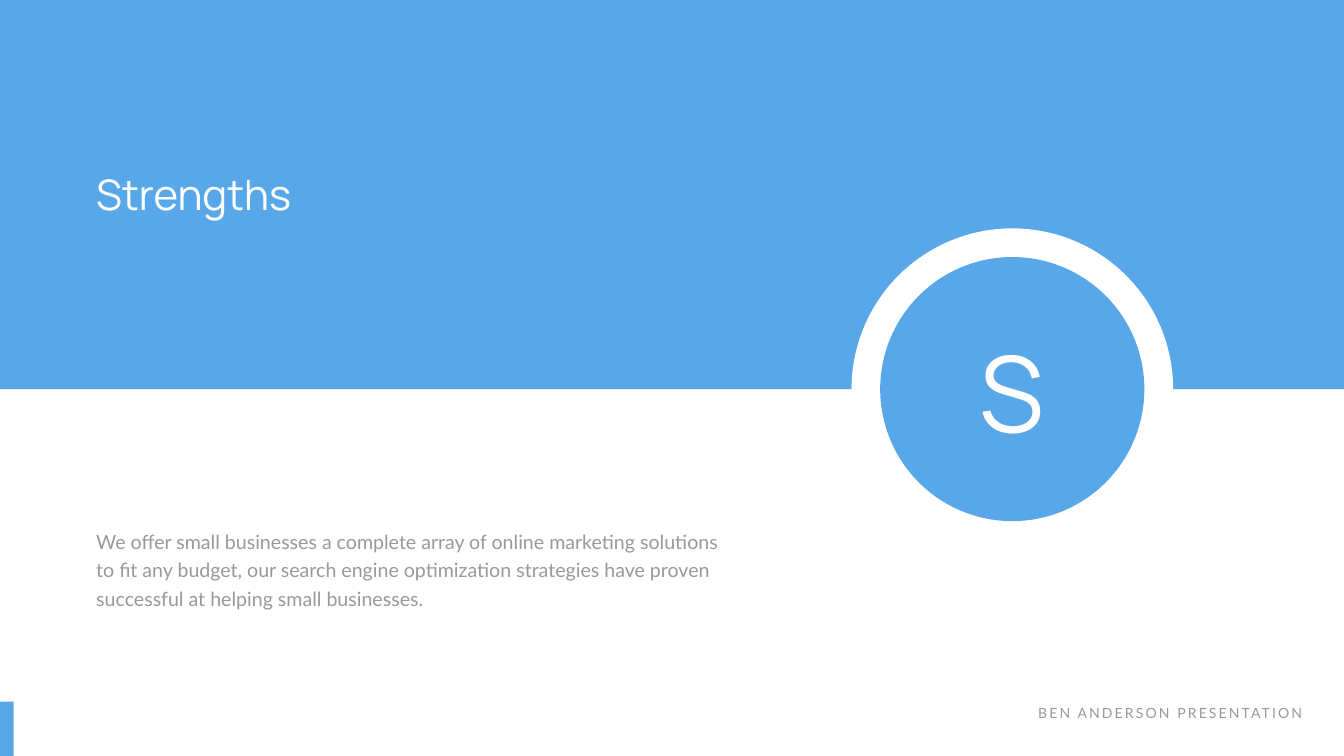
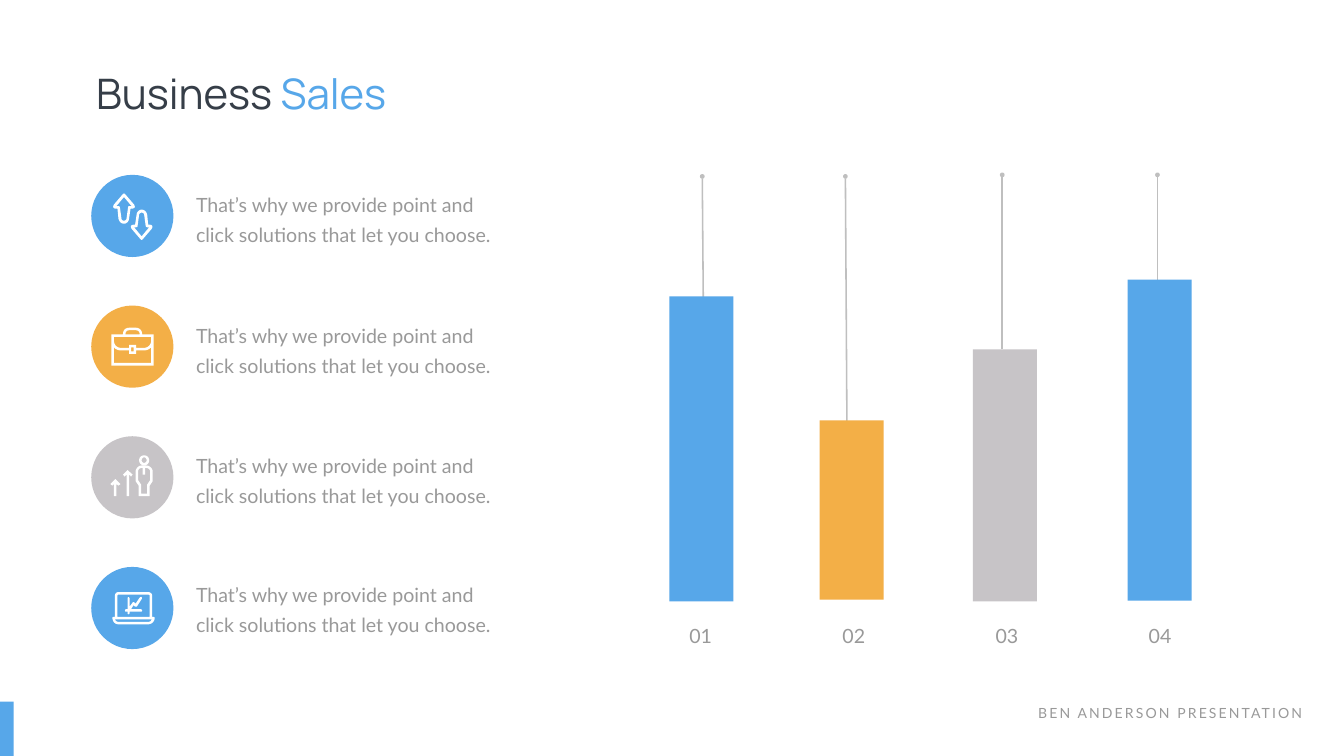
from dataclasses import dataclass
from lxml.etree import SubElement
from pptx import Presentation
from pptx.dml.color import RGBColor
from pptx.enum.shapes import MSO_CONNECTOR as Connector, MSO_SHAPE as Preset
from pptx.enum.text import MSO_ANCHOR as Anchor, MSO_AUTO_SIZE as AutoSize, PP_ALIGN as Align
from pptx.oxml.ns import qn
from pptx.util import Pt


@dataclass(frozen=True)
class Theme:
    blue: str = "57A7E9"
    orange: str = "F3AF47"
    silver: str = "C7C4C7"
    white: str = "FFFFFF"
    dark: str = "363E48"
    grey: str = "999999"
    stem: str = "BFBFBF"
    heading_font: str = "Manrope"
    body_font: str = "Lato"
    letter_size: float = 150
    title_size: float = 60
    body_size: float = 28
    footer_size: float = 20


theme = Theme()

letter_style = {"font": {"name": theme.heading_font, "size": Pt(theme.letter_size)},
                "paragraph": {"alignment": Align.CENTER}}
title_style = {"font": {"name": theme.heading_font, "size": Pt(theme.title_size)}}
body_font = {"name": theme.body_font, "size": Pt(theme.body_size)}
intro_style = {"font": body_font, "paragraph": {"line_spacing": Pt(40.8)}}
item_style = {"font": body_font, "paragraph": {"line_spacing": Pt(43)}}
label_style = {"font": body_font,
               "paragraph": {"alignment": Align.CENTER, "line_spacing": 1.3},
               "frame": {"vertical_anchor": Anchor.MIDDLE, "margin_left": Pt(7.2),
                         "margin_top": 0, "margin_right": 0, "margin_bottom": 0}}
footer_style = {"font": {"name": theme.body_font, "size": Pt(theme.footer_size)},
                "paragraph": {"alignment": Align.RIGHT}, "spacing": "300"}


def paint(shape, color):
    shape.shadow.inherit = False
    shape.fill.solid()
    shape.fill.fore_color.rgb = RGBColor.from_string(color)
    shape.line.fill.background()


def add_text(slide, box, runs, style):
    frame = slide.shapes.add_textbox(*map(Pt, box)).text_frame
    frame_format = {"word_wrap": True, "auto_size": AutoSize.SHAPE_TO_FIT_TEXT}
    for name, value in (frame_format | style.get("frame", {})).items():
        setattr(frame, name, value)
    paragraph = frame.paragraphs[0]
    for name, value in style.get("paragraph", {}).items():
        setattr(paragraph, name, value)
    for text, color in runs:
        run = paragraph.add_run()
        run.text = text
        for name, value in style["font"].items():
            setattr(run.font, name, value)
        run.font.color.rgb = RGBColor.from_string(color)
        if "spacing" in style:
            run.font._element.set("spc", style["spacing"])


presentation = Presentation()
presentation.slide_width = Pt(1919.52)
presentation.slide_height = Pt(1080)
blank_layout = presentation.slide_layouts[6]
strengths = presentation.slides.add_slide(blank_layout)
sales = presentation.slides.add_slide(blank_layout)

for slide in (strengths, sales):
    add_text(slide, (1445.8, 1002.2, 421.2, 31.7),
             [("BEN ANDERSON PRESENTATION", theme.grey)], footer_style)
    corner = slide.shapes.add_shape(Preset.RECTANGLE, 0, Pt(1002.2), Pt(19.4), Pt(77.8))
    paint(corner, theme.blue)

for preset, box, color in (
    (Preset.RECTANGLE, (0, 0, 1919.52, 555.8), theme.blue),
    (Preset.OVAL, (1216.1, 326.2, 459.4, 459.4), theme.white),
    (Preset.OVAL, (1257.1, 367.2, 377.3, 377.3), theme.blue),
):
    paint(strengths.shapes.add_shape(preset, *map(Pt, box)), color)

add_text(strengths, (1314.7, 464.4, 262.1, 189.4), [("S", theme.white)], letter_style)
add_text(strengths, (130.3, 237.6, 329, 79.9), [("Strengths", theme.white)], title_style)
add_text(strengths, (130.3, 745.9, 915.1, 127.4), [(
    "We offer small businesses a complete array of online marketing solutions to fit any budget, "
    "our search engine optimization strategies have proven successful at helping small businesses.",
    theme.grey)], intro_style)

add_text(sales, (130.3, 92.2, 551.5, 79.9),
         [("Business ", theme.dark), ("Sales", theme.blue)], title_style)

bars = [
    (956.2, 423.4, 435.6, theme.blue, (1004.4, 424.8), (1003, 252)),
    (1170.7, 600.5, 256.3, theme.orange, (1209.6, 602.6), (1207.4, 252)),
    (1389.6, 499, 360, theme.silver, (1431.4, 499), (1431.4, 249.8)),
    (1610.6, 399.6, 458.6, theme.blue, (1653.1, 399.6), (1653.1, 249.8)),
]
for index, (left, top, height, color, stem_foot, stem_tip) in enumerate(bars):
    stem = sales.shapes.add_connector(Connector.STRAIGHT, *map(Pt, stem_foot + stem_tip))
    stem.line.width = Pt(2.25)
    stem.line.color.rgb = RGBColor.from_string(theme.stem)
    SubElement(stem.line._get_or_add_ln(), qn("a:tailEnd"), type="oval")
    SubElement(stem._element.spPr, qn("a:effectLst"))
    bar = sales.shapes.add_shape(Preset.RECTANGLE, Pt(left), Pt(top), Pt(91.4), Pt(height))
    paint(bar, color)
    add_text(sales, (927.4 + 218.7 * index, 877.7, 139.7, 49.7),
             [(f"{index + 1:02}", theme.grey)], label_style)

# Icon outlines: a pair is a line end, six numbers are a curve, in steps of 0.72 pt.
up_arrow = [
    "76,62 74,62,73,63,73,65 70,87 70,89,67,91,65,91 62,91,60,89,60,87 57,65 "
    "57,63,55,62,54,62 50,62 65,44 80,62",
    "86,65 87,63,86,61,85,59 67,38 67,38,66,37,65,37 64,37,63,38,63,38 45,59 "
    "44,61,43,63,44,65 45,66,46,67,48,67 52,67 54,87 55,92,59,97,65,97 "
    "70,97,75,92,75,87 78,67 81,67 83,67,85,66,86,65",
]
down_arrow = [
    " ".join(
        ",".join(str((165, 166)[place % 2] - int(number))
                 for place, number in enumerate(segment.split(",")))
        for segment in contour.split())
    for contour in up_arrow
]
briefcase = [
    "105,84 89,84 89,78 75,78 75,84 59,84 51,84,45,78,45,70 45,62 119,62 119,70 "
    "119,78,112,84,105,84",
    "79,83 84,83 84,91 79,91",
    "119,114 45,114 45,83 48,87,54,89,59,89 75,89 75,96 89,96 89,89 105,89 110,89,115,87,119,83",
    "68,56 68,52,71,49,75,49 89,49 93,49,96,52,96,56 96,57 68,57",
    "101,57 101,56 101,49,95,44,89,44 75,44 68,44,63,49,63,56 63,57 40,57 40,119 124,119 124,57",
]
body = [
    "117,87 111,96 111,114 99,114 99,96 93,87 93,70 93,66,96,63,100,63 102,63 102,76 "
    "107,76 107,63 109,63 113,63,117,66,117,70",
    "109,58 100,58 94,58,88,64,88,70 88,89 94,98 94,119 116,119 116,98 122,89 122,70 "
    "122,64,116,58,109,58",
]
head = [
    "105,42 108,42,110,45,110,48 110,50,108,53,105,53 102,53,100,50,100,48 100,45,102,42,105,42",
    "105,58 111,58,115,53,115,48 115,42,111,38,105,38 99,38,95,42,95,48 95,53,99,58,105,58",
]
tall_arrow = ["63,76 66,80 70,76 70,119 75,119 75,76 79,80 82,76 72,67"]
short_arrow = ["38,95 42,98 45,95 45,119 50,119 50,95 54,98 58,95 48,85"]
laptop = [
    "113,109 54,109 51,109,48,107,47,104 120,104 119,107,117,109,113,109",
    "52,57 52,56,53,55,54,55 113,55 115,55,116,56,116,57 116,99 52,99",
    "123,99 121,99 121,57 121,53,117,50,113,50 54,50 50,50,47,53,47,57 47,99 44,99 "
    "43,99,42,100,42,101 42,108,47,114,54,114 113,114 120,114,126,108,126,101 "
    "126,100,124,99,123,99",
]
screen_chart = [
    "87,79 88,79,88,79,89,79 90,79,90,79,91,78 100,64 101,62,101,61,100,60 "
    "99,59,97,60,96,61 88,73 85,70 85,70,84,70,84,70 83,70,82,70,82,71 76,79 76,62 "
    "76,61,75,60,74,60 73,60,72,61,72,62 72,84 69,84 68,84,67,85,67,87 67,88,68,89,69,89 "
    "72,89 72,92 72,93,73,94,74,94 75,94,76,93,76,92 76,89 98,89 100,89,101,88,101,87 "
    "101,85,100,84,98,84 79,84 84,76",
]

items = [
    (theme.blue, 262.8, [up_arrow, down_arrow]),
    (theme.orange, 449.3, [briefcase]),
    (theme.silver, 635.8, [body, head, tall_arrow, short_arrow]),
    (theme.blue, 820.1, [laptop, screen_chart]),
]
badge_left, curve_steps = 130.3, 6
for index, (color, text_top, icon) in enumerate(items):
    badge_top = 249.8 + 186.7 * index
    badge = sales.shapes.add_shape(
        Preset.OVAL, Pt(badge_left), Pt(badge_top), Pt(117.4), Pt(117.4))
    paint(badge, color)
    for outline in icon:
        builder = None
        for contour in outline:
            points = []
            for segment in contour.split():
                numbers = [Pt(0.72 * int(number)) for number in segment.split(",")]
                if len(numbers) == 2:
                    points.append(tuple(numbers))
                    continue
                controls = [points[-1], *zip(numbers[::2], numbers[1::2])]
                for step in range(1, curve_steps + 1):
                    t = step / curve_steps
                    weights = ((1 - t) ** 3, 3 * t * (1 - t) ** 2, 3 * t * t * (1 - t), t ** 3)
                    points.append(tuple(
                        sum(weight * value for weight, value in zip(weights, axis))
                        for axis in zip(*controls)))
            if builder is None:
                builder = sales.shapes.build_freeform(*points[0])
            else:
                builder.move_to(*points[0])
            builder.add_line_segments(points[1:], close=True)
        paint(builder.convert_to_shape(Pt(badge_left), Pt(badge_top)), theme.white)
    add_text(sales, (272.9, text_top, 457.9, 90), [(
        "That’s why we provide point and click solutions that let you choose.", theme.grey)],
        item_style)

presentation.save("out.pptx")
